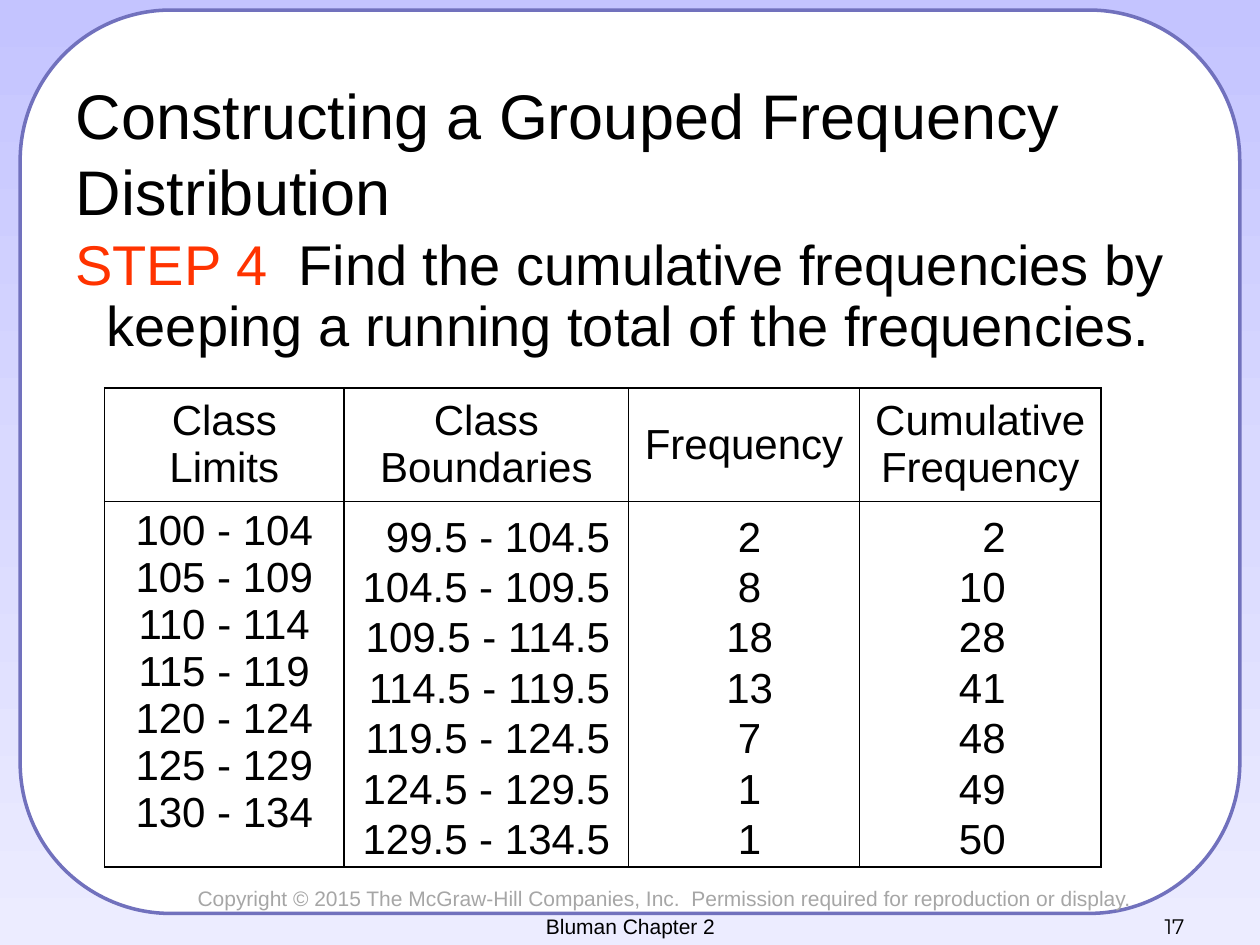
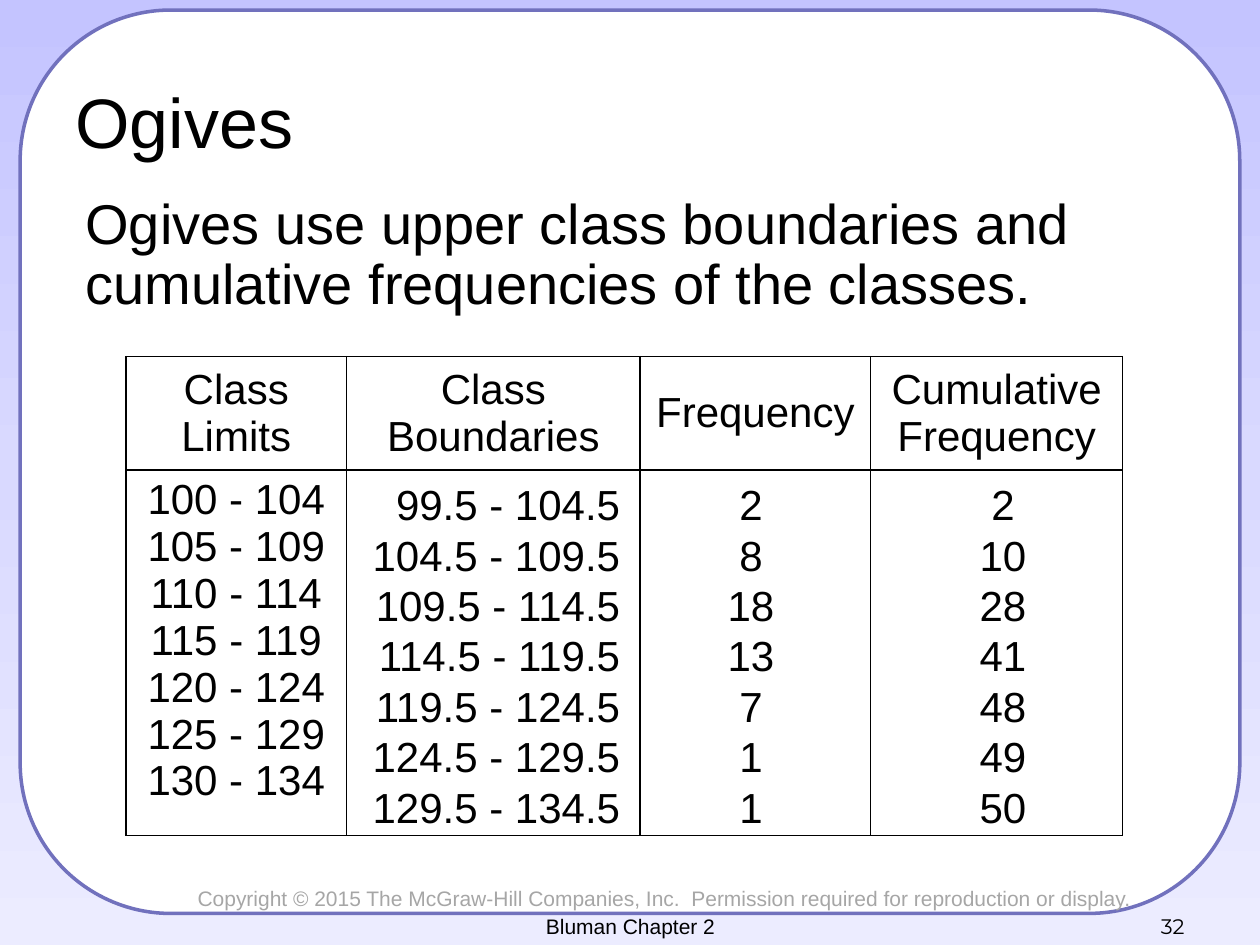
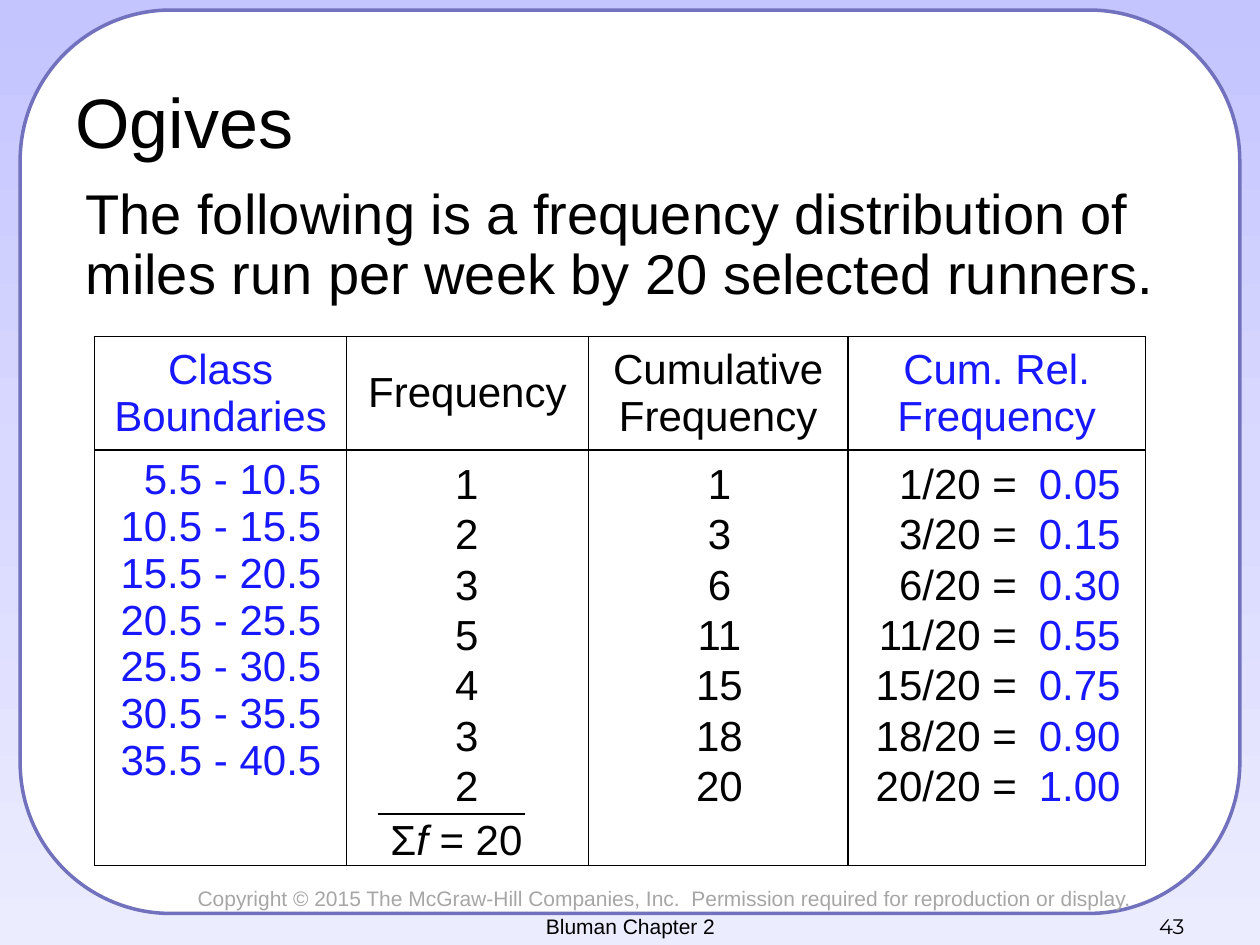
"""Build three slides on grouped frequency distributions and ogives."""
import copy

import pptx
import pptx.dml.color
import pptx.enum.shapes
import pptx.enum.text
import pptx.oxml
import pptx.oxml.ns
import pptx.util

Inches = pptx.util.Inches
Pt = pptx.util.Pt
ALIGN = pptx.enum.text.PP_ALIGN
ANCHOR = pptx.enum.text.MSO_ANCHOR

COLORS = {"text": "000000", "step": "FF3300", "accent": "1818FF", "notice": "A6A6A6",
          "panel": "FFFFFF", "frame": "7171BD"}
BACKGROUND_STOPS = [(0, "C4C4FF"), (0.5, "D9D9FF"), (1, "ECECFF")]
FONT = "Arial"
NUMBER_FONT = "Montserrat"
LINE_FACTOR = 1.2
TABLE_LINE_FACTOR = 1.117
BODY_LINE_FACTOR = 0.9 * LINE_FACTOR
TABLE_SIZE = 24
HEADER_HEIGHT = 0.9
COLUMN_HEIGHT = 2.93

NOTICE = ("Copyright © 2015 The McGraw-Hill Companies, Inc.  "
          "Permission required for reproduction or display.")
FOOTER = "Bluman Chapter 2"

LIMITS = ["100 - 104", "105 - 109", "110 - 114", "115 - 119", "120 - 124", "125 - 129",
          "130 - 134"]
BOUNDARIES = ["99.5 - 104.5", "104.5 - 109.5", "109.5 - 114.5", "114.5 - 119.5",
              "119.5 - 124.5", "124.5 - 129.5", "129.5 - 134.5"]
FREQUENCIES = ["2", "8", "18", "13", "7", "1", "1"]
CUMULATIVE = ["2", "10", "28", "41", "48", "49", "50"]
HEADERS = [("Class Limits", "text"), ("Class Boundaries", "text"), ("Frequency", "text"),
           ("Cumulative Frequency", "text")]

RUNNER_BOUNDARIES = ["5.5 - 10.5", "10.5 - 15.5", "15.5 - 20.5", "20.5 - 25.5",
                     "25.5 - 30.5", "30.5 - 35.5", "35.5 - 40.5"]
RUNNER_FREQUENCIES = ["1", "2", "3", "5", "4", "3", "2"]
RUNNER_CUMULATIVE = ["1", "3", "6", "11", "15", "18", "20"]
RUNNER_FRACTIONS = [f"{count}/20 =" for count in RUNNER_CUMULATIVE]
RUNNER_RELATIVE = ["0.05", "0.15", "0.30", "0.55", "0.75", "0.90", "1.00"]
RUNNER_HEADERS = [("Class Boundaries", "accent"), ("Frequency", "text"),
                  ("Cumulative Frequency", "text"), ("Cum. Rel. Frequency", "accent")]

SLIDES = [
    {"title": "Constructing a Grouped Frequency Distribution", "title_size": 36,
     "title_box": (0.5, 0.67, 9, 1.08), "number": "17",
     "body": [("STEP 4", "step"),
              ("  Find the cumulative frequencies by keeping a running total of the "
               "frequencies.", "text")],
     "body_box": (0.5, 1.83, 9.17, 1.33), "hanging": 0.25,
     "table": {"at": (0.83, 3.08), "widths": [1.9, 2.26, 1.83, 1.92], "height": 2.9,
               "headers": HEADERS, "first": LIMITS, "color": "text",
               "align": ALIGN.CENTER, "margin": 0.1},
     "column_top": 4,
     "columns": [(2.75, 2.19, BOUNDARIES, ALIGN.RIGHT, "text"),
                 (5.66, 0.58, FREQUENCIES, ALIGN.CENTER, "text"),
                 (7.5, 0.58, CUMULATIVE, ALIGN.RIGHT, "text")]},
    {"title": "Ogives", "title_size": 40, "title_box": (0.5, 0.5, 9, 0.92), "number": "32",
     "body": [("Ogives use upper class boundaries and cumulative frequencies of the "
               "classes.", "text")],
     "body_box": (0.58, 1.5, 8.33, 1.08), "hanging": 0,
     "table": {"at": (1, 2.83), "widths": [1.75, 2.33, 1.83, 2], "height": 2.9,
               "headers": HEADERS, "first": LIMITS, "color": "text",
               "align": ALIGN.CENTER, "margin": 0.1},
     "column_top": 3.75,
     "columns": [(2.83, 2.19, BOUNDARIES, ALIGN.RIGHT, "text"),
                 (5.67, 0.58, FREQUENCIES, ALIGN.CENTER, "text"),
                 (7.67, 0.58, CUMULATIVE, ALIGN.CENTER, "text")]},
    {"title": "Ogives", "title_size": 40, "title_box": (0.5, 0.5, 9, 0.92), "number": "43",
     "body": [("The following is a frequency distribution of miles run per week by 20 "
               "selected runners.", "text")],
     "body_box": (0.58, 1.42, 8.83, 1.08), "hanging": 0,
     "table": {"at": (0.75, 2.67), "widths": [2, 1.92, 2.06, 2.36], "height": 3.3,
               "headers": RUNNER_HEADERS, "first": RUNNER_BOUNDARIES, "color": "accent",
               "align": ALIGN.RIGHT, "margin": 0.2},
     "column_top": 3.58,
     "columns": [(3.51, 0.39, RUNNER_FREQUENCIES, ALIGN.CENTER, "text"),
                 (5.42, 0.58, RUNNER_CUMULATIVE, ALIGN.CENTER, "text"),
                 (6.83, 1.34, RUNNER_FRACTIONS, ALIGN.RIGHT, "text"),
                 (8.14, 0.86, RUNNER_RELATIVE, ALIGN.CENTER, "accent")],
     "total": [("Σ", "text"), ("f", "text", True), (" = 20", "text")]},
]


def rgb(name):
    return pptx.dml.color.RGBColor.from_string(COLORS[name])


def write(frame, paragraphs, size, align=ALIGN.LEFT, font=FONT, factor=LINE_FACTOR):
    for index, runs in enumerate(paragraphs):
        paragraph = frame.add_paragraph() if index else frame.paragraphs[0]
        paragraph.alignment = align
        paragraph.line_spacing = Pt(round(size * factor, 2))
        for text, color, *italic in runs:
            run = paragraph.add_run()
            run.text = text
            run.font.name = font
            run.font.size = Pt(size)
            run.font.italic = bool(italic)
            run.font.color.rgb = rgb(color)


def add_text(slide, box, paragraphs, size, anchor=ANCHOR.TOP, **style):
    shape = slide.shapes.add_textbox(*map(Inches, box))
    shape.text_frame.word_wrap = True
    shape.text_frame.vertical_anchor = anchor
    write(shape.text_frame, paragraphs, size, **style)
    return shape


def decorate_layout(layout, slide):
    fill = layout.background.fill
    fill.gradient()
    fill.gradient_angle = 270
    stop_list = layout.element.find(".//" + pptx.oxml.ns.qn("a:gsLst"))
    stop_list.append(copy.deepcopy(stop_list[-1]))
    for stop, (position, color) in zip(fill.gradient_stops, BACKGROUND_STOPS):
        stop.position = position
        stop.color.rgb = pptx.dml.color.RGBColor.from_string(color)

    panel = slide.shapes.add_shape(pptx.enum.shapes.MSO_SHAPE.ROUNDED_RECTANGLE,
                                   *map(Inches, (0.16, 0.08, 9.68, 7.17)))
    panel.shadow.inherit = False
    panel.fill.solid()
    panel.fill.fore_color.rgb = rgb("panel")
    panel.line.color.rgb = rgb("frame")
    panel.line.width = Pt(2)
    notice = add_text(slide, (1.47, 6.98, 7.67, 0.3), [[(NOTICE, "notice")]], 12)
    for shape in (panel, notice):
        layout.shapes.element.append(shape.element)


def border_cell(cell):
    cell.fill.background()
    properties = cell._tc.get_or_add_tcPr()
    for index, side in enumerate(("lnL", "lnR", "lnT", "lnB")):
        properties.insert(index, pptx.oxml.parse_xml(
            f'<a:{side} {pptx.oxml.ns.nsdecls("a")} w="12700"><a:solidFill>'
            f'<a:srgbClr val="{COLORS["text"]}"/></a:solidFill></a:{side}>'))


def add_table(slide, content):
    widths = content["widths"]
    heights = [HEADER_HEIGHT, content["height"]]
    size = map(Inches, (*content["at"], sum(widths), sum(heights)))
    table = slide.shapes.add_table(len(heights), len(widths), *size).table
    table.first_row = table.horz_banding = False
    for column, width in zip(table.columns, widths):
        column.width = Inches(width)
    for row, height in zip(table.rows, heights):
        row.height = Inches(height)
    for cell in table.iter_cells():
        border_cell(cell)
    for index, header in enumerate(content["headers"]):
        cell = table.cell(0, index)
        cell.vertical_anchor = ANCHOR.MIDDLE
        write(cell.text_frame, [[header]], TABLE_SIZE, ALIGN.CENTER,
              factor=TABLE_LINE_FACTOR)
    classes = table.cell(1, 0)
    classes.margin_right = Inches(content["margin"])
    write(classes.text_frame, [[(text, content["color"])] for text in content["first"]],
          TABLE_SIZE, content["align"], factor=TABLE_LINE_FACTOR)


def add_total(slide, runs):
    add_text(slide, (3, 6.41, 1.3, 0.51), [runs], TABLE_SIZE)
    rule = slide.shapes.add_connector(pptx.enum.shapes.MSO_CONNECTOR.STRAIGHT,
                                      *map(Inches, (3, 6.46, 4.17, 6.46)))
    rule.line.color.rgb = rgb("text")
    rule.line.width = Pt(0.75)
    rule.element.spPr.append(pptx.oxml.parse_xml(
        f'<a:effectLst {pptx.oxml.ns.nsdecls("a")}/>'))


def fill_slide(slide, content):
    title = slide.shapes.title
    title.left, title.top, title.width, title.height = map(Inches, content["title_box"])
    title.text_frame.auto_size = pptx.enum.text.MSO_AUTO_SIZE.NONE
    title.text_frame.vertical_anchor = ANCHOR.MIDDLE
    write(title.text_frame, [[(content["title"], "text")]], content["title_size"])

    body = add_text(slide, content["body_box"], [content["body"]], 32,
                    factor=BODY_LINE_FACTOR)
    if content["hanging"]:
        properties = body.text_frame.paragraphs[0]._p.get_or_add_pPr()
        properties.set("marL", str(Inches(content["hanging"])))
        properties.set("indent", str(-Inches(content["hanging"])))

    add_table(slide, content["table"])
    for left, width, values, align, color in content["columns"]:
        add_text(slide, (left, content["column_top"], width, COLUMN_HEIGHT),
                 [[(value, color)] for value in values], TABLE_SIZE, align=align)
    if "total" in content:
        add_total(slide, content["total"])

    add_text(slide, (7.17, 7, 2.33, 0.5), [[(content["number"], "text")]], 12,
             ANCHOR.BOTTOM, align=ALIGN.RIGHT, font=NUMBER_FONT)
    add_text(slide, (3.42, 7, 3.17, 0.5), [[(FOOTER, "text")]], 12,
             ANCHOR.BOTTOM, align=ALIGN.CENTER)


def main():
    presentation = pptx.Presentation()
    presentation.slide_width = Inches(10)
    presentation.slide_height = Inches(7.5)
    layout = presentation.slide_layouts.get_by_name("Title Only")
    slides = [presentation.slides.add_slide(layout) for _ in SLIDES]
    decorate_layout(layout, slides[0])
    for slide, content in zip(slides, SLIDES):
        fill_slide(slide, content)
    presentation.save("out.pptx")


if __name__ == "__main__":
    main()
